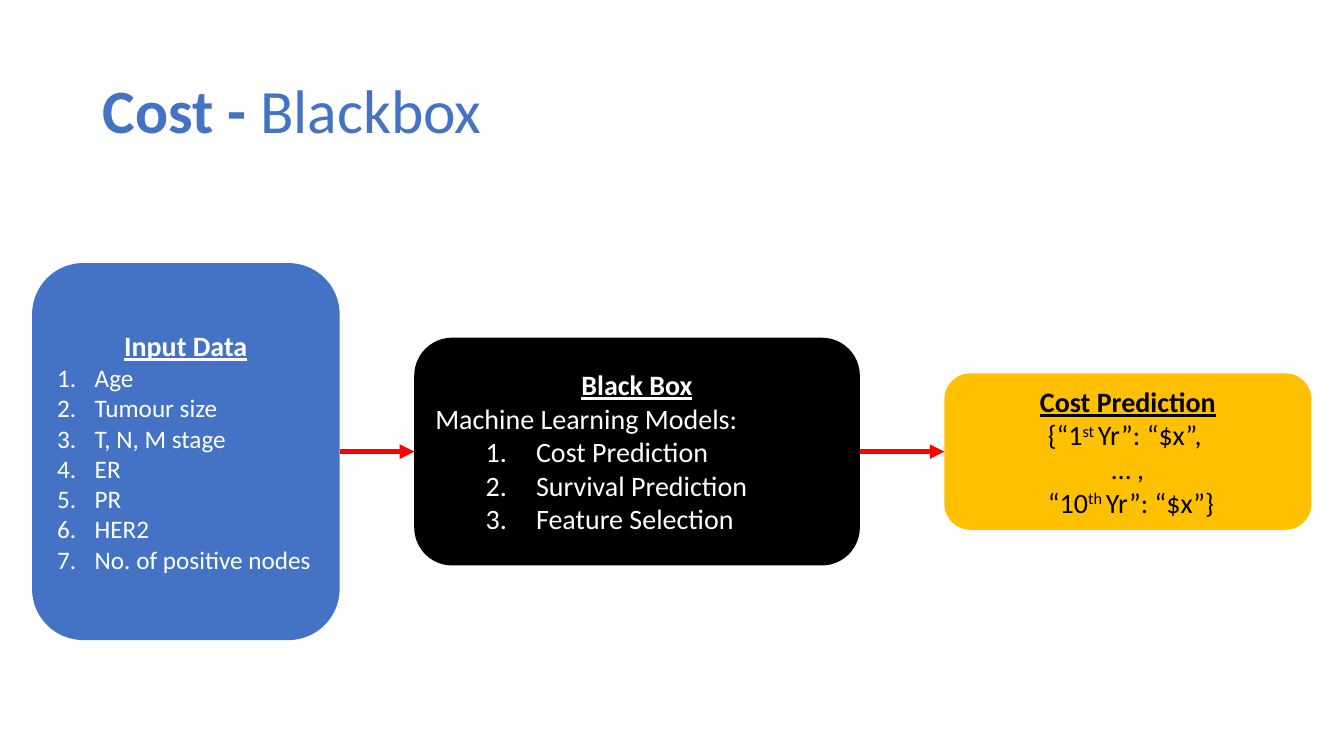
from lxml.etree import SubElement
from pptx import Presentation
from pptx.dml.color import RGBColor
from pptx.enum.shapes import MSO_CONNECTOR, MSO_SHAPE
from pptx.enum.text import MSO_ANCHOR, PP_ALIGN
from pptx.oxml.ns import qn
from pptx.util import Cm, Pt

BLUE = RGBColor(0x44, 0x72, 0xC4)
BLACK = RGBColor(0, 0, 0)
WHITE = RGBColor(0xFF, 0xFF, 0xFF)
AMBER = RGBColor(0xFF, 0xC0, 0x00)
RED = RGBColor(0xFF, 0, 0)
FONT = "Calibri"
MIDDLE = 11.38
LEFT_SIDE, RIGHT_SIDE = 1, 3


def number_paragraph(paragraph, margin, hanging):
    properties = paragraph._p.get_or_add_pPr()
    properties.set("marL", str(Cm(margin)))
    properties.set("indent", str(-Cm(hanging)))
    SubElement(properties, qn("a:buFont"), typeface="+mj-lt")
    SubElement(properties, qn("a:buAutoNum"), type="arabicPeriod")


def add_box(left, width, height, fill, color, heading):
    shape = slide.shapes.add_shape(
        MSO_SHAPE.ROUNDED_RECTANGLE,
        Cm(left), Cm(MIDDLE - height / 2), Cm(width), Cm(height))
    shape.shadow.inherit = False
    shape.fill.solid()
    shape.fill.fore_color.rgb = fill
    shape.line.fill.background()
    frame = shape.text_frame
    frame.word_wrap = True
    frame.vertical_anchor = MSO_ANCHOR.MIDDLE
    frame.text = heading
    paragraph = frame.paragraphs[0]
    paragraph.alignment = PP_ALIGN.CENTER
    paragraph.font.name = FONT
    font = paragraph.runs[0].font
    font.name, font.size, font.color.rgb = FONT, Pt(20), color
    font.bold = font.underline = True
    return shape


presentation = Presentation()
presentation.slide_width = Cm(33.87)
presentation.slide_height = Cm(19.05)
slide = presentation.slides.add_slide(presentation.slide_layouts[5])

title = slide.shapes.title
title.left, title.top, title.width, title.height = Cm(2.33), Cm(1.01), Cm(29.21), Cm(3.68)
title.text_frame.vertical_anchor = MSO_ANCHOR.MIDDLE
paragraph = title.text_frame.paragraphs[0]
paragraph.alignment = PP_ALIGN.LEFT
paragraph.line_spacing = 0.9
for text, bold in [("Cost - ", True), ("Blackbox", False)]:
    run = paragraph.add_run()
    run.text = text
    run.font.name, run.font.size, run.font.bold = FONT, Pt(44), bold
    run.font.color.rgb = BLUE

input_box = add_box(0.81, 7.75, 9.5, BLUE, WHITE, "Input Data")
black_box = add_box(10.44, 11.23, 5.74, BLACK, WHITE, "Black Box")
prediction_box = add_box(23.8, 9.25, 3.94, AMBER, BLACK, "Cost Prediction")

inputs = ["Age", "Tumour size", "T, N, M stage", "ER", "PR", "HER2", "No. of positive nodes"]
for text in inputs:
    paragraph = input_box.text_frame.add_paragraph()
    paragraph.text = text
    paragraph.alignment = PP_ALIGN.LEFT
    number_paragraph(paragraph, 0.95, 0.95)
    font = paragraph.runs[0].font
    font.name, font.size, font.color.rgb = FONT, Pt(18), WHITE

models = ["Machine Learning Models:", "Cost Prediction", "Survival Prediction", "Feature Selection"]
for index, text in enumerate(models):
    paragraph = black_box.text_frame.add_paragraph()
    paragraph.text = text
    paragraph.alignment = PP_ALIGN.LEFT
    if index > 0:
        paragraph.level = 1
        number_paragraph(paragraph, 2.54, 1.27)
    font = paragraph.runs[0].font
    font.name, font.size, font.color.rgb = FONT, Pt(20), WHITE

predictions = [["{“1", "st ", "Yr”: “$x”, "], ["… ,"], [" “10", "th ", "Yr”: “$x”}"]]
for parts in predictions:
    paragraph = prediction_box.text_frame.add_paragraph()
    paragraph.alignment = PP_ALIGN.CENTER
    for index, text in enumerate(parts):
        run = paragraph.add_run()
        run.text = text
        run.font.name, run.font.size, run.font.color.rgb = FONT, Pt(20), BLACK
        if index == 1:
            run._r.get_or_add_rPr().set("baseline", "30000")

for source, target in [(input_box, black_box), (black_box, prediction_box)]:
    arrow = slide.shapes.add_connector(MSO_CONNECTOR.STRAIGHT, 0, 0, 0, 0)
    arrow.begin_connect(source, RIGHT_SIDE)
    arrow.end_connect(target, LEFT_SIDE)
    arrow.line.color.rgb = RED
    arrow.line.width = Pt(3.5)
    SubElement(arrow.line._get_or_add_ln(), qn("a:tailEnd"), type="triangle")
    SubElement(arrow._element.spPr, qn("a:effectLst"))

presentation.save("out.pptx")
